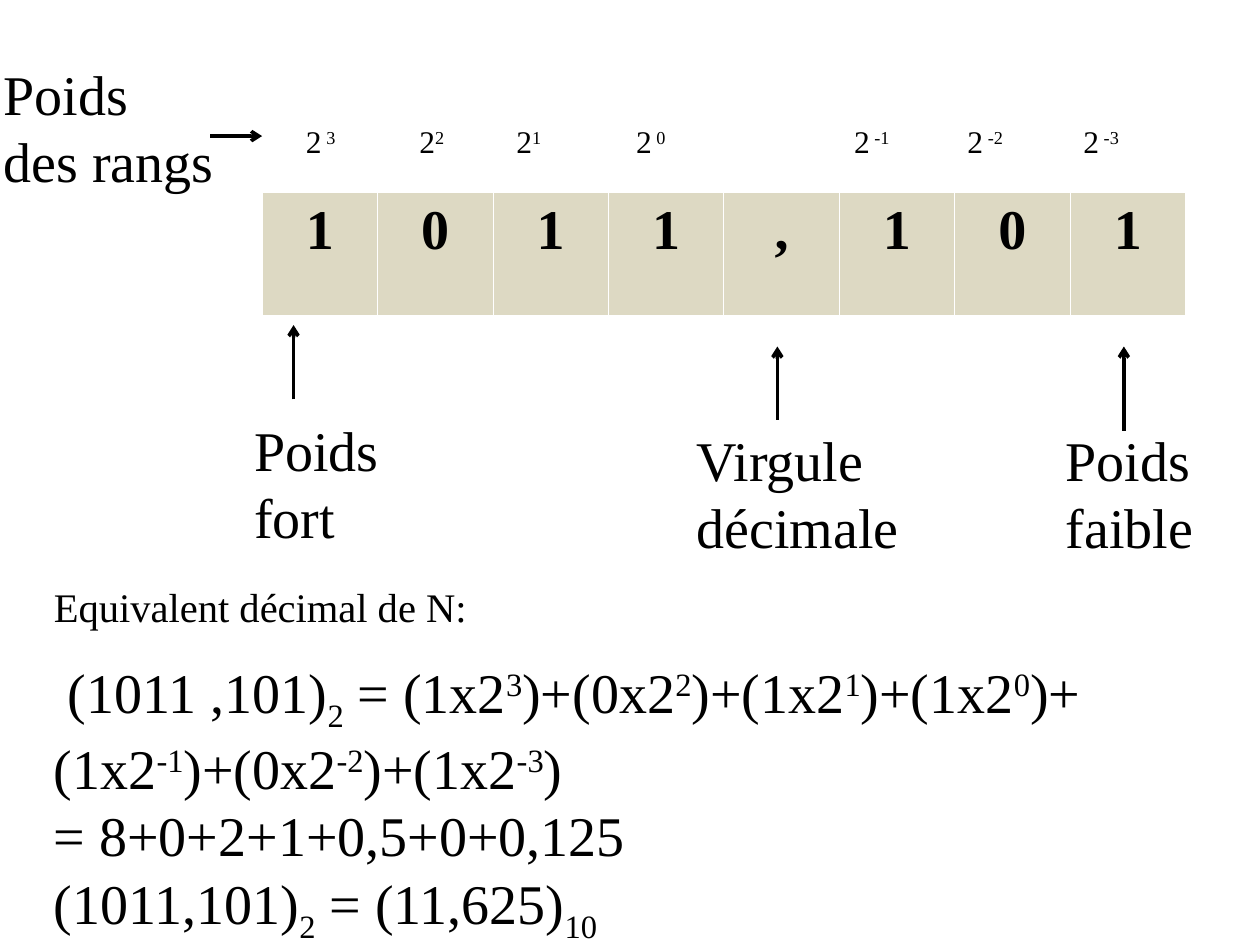
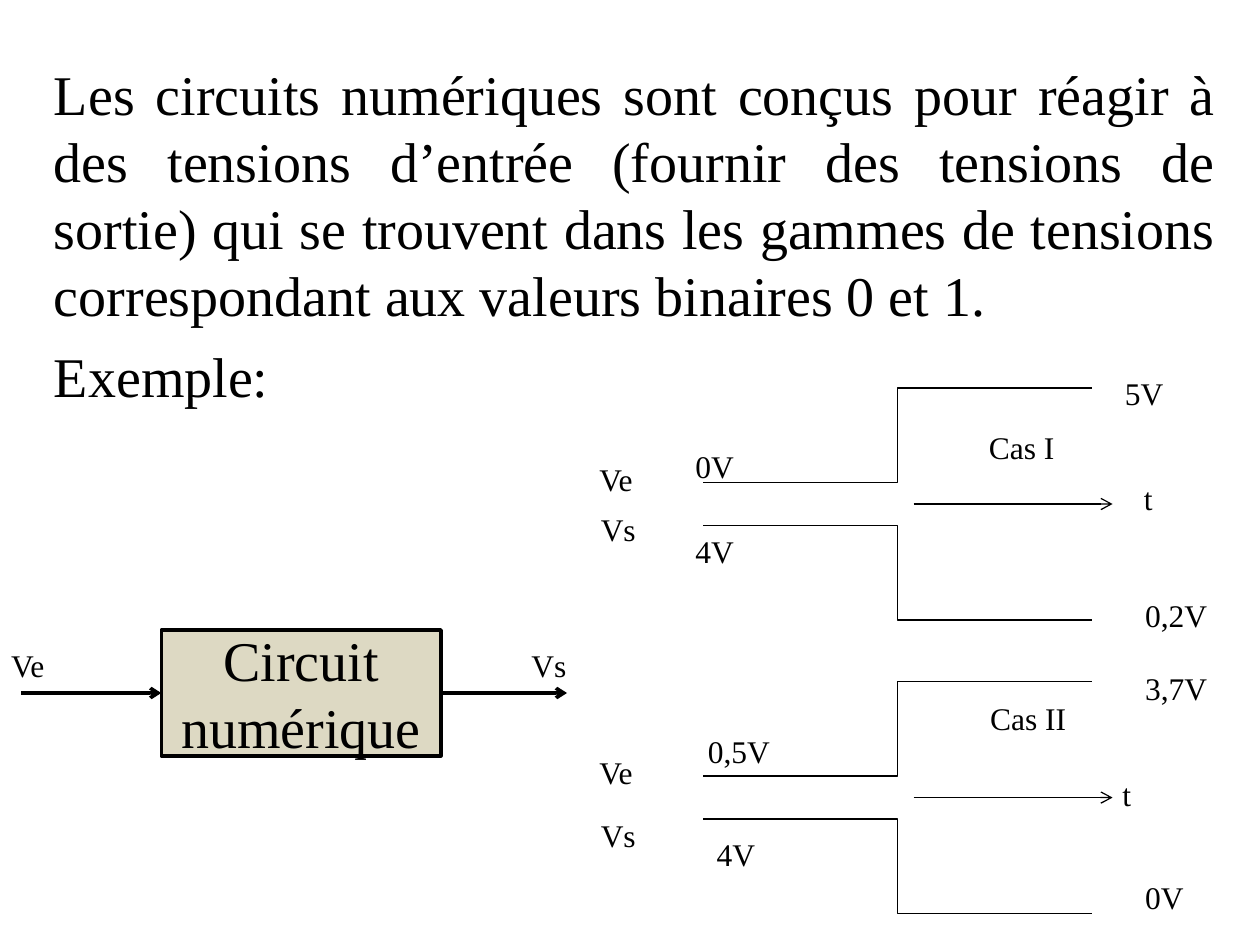
import pptx
import pptx.dml.color
import pptx.enum.shapes
import pptx.enum.text
import pptx.oxml
import pptx.oxml.ns
import pptx.util
from lxml import etree

FONT = "Times New Roman"
INK, SAND, WHITE = "000000", "DDD9C3", "FFFFFF"
LARGE, SMALL = 32, 18
THIN, THICK = 0.75, 2
LEFT_MARGIN = 0.33
BASELINES = {"^": 30000, "_": -25000}  # ^...^ is raised, _..._ is lowered

# Slide 1: binary number and the weight of each rank
DIGITS = ["1", "0", "1", "1", ",", "1", "0", "1"]
TABLE_LEFT, TABLE_TOP, TABLE_WIDTH, TABLE_HEIGHT = 2.08, 1.53, 7.33, 0.97
WEIGHTS = ["2^ 3^", "2^2^", "2^1^", "2^ 0^", "2^ -1^", "2^ -2^", "2^ -3^"]
WEIGHT_STOPS = [0.9, 1.67, 2.62, 4.35, 5.25, 6.17]
RANK_NOTES = [  # lines, left, top, width
    (["Poids", "des rangs"], -0.07, 0.42, 1.95),
    (["Poids", "fort"], 1.92, 3.25, 1.4),
    (["Poids", "faible"], 8.36, 3.33, 1.4),
    (["Virgule", "décimale"], 5.43, 3.33, 1.9),
]
RANK_ARROWS = [  # start, end
    ((2.33, 3.17), (2.33, 2.58)),
    ((6.17, 3.33), (6.17, 2.75)),
    ((8.92, 3.42), (8.92, 2.75)),
    ((1.67, 1.08), (2.08, 1.08)),
]
EQUIVALENT_HEADING = "^Equivalent décimal de N:^"
EQUIVALENT = [
    " (1011 ,101)_2_ = (1x2^3^)+(0x2^2^)+(1x2^1^)+(1x2^0^)+",
    "(1x2^-1^)+(0x2^-2^)+(1x2^-3^)",
    "= 8+0+2+1+0,5+0+0,125",
    "(1011,101)_2_ = (11,625)_10_",
]

# Slide 2: digital circuit and its input and output levels
INTRODUCTION = [
    "Les circuits numériques sont conçus pour réagir à des tensions d’entrée "
    "(fournir des tensions de sortie) qui se trouvent dans les gammes de tensions "
    "correspondant aux valeurs binaires 0 et 1.",
    "Exemple:",
]
CIRCUIT_NAME = "Circuit numérique"
CIRCUIT_BOX = (1.28, 5, 2.22, 1)
CIRCUIT_ENDS = (0.17, 4.5)
LABELS = [  # text, left, top
    ("Ve", -0.01, 5.08), ("Vs", 4.12, 5.08),
    ("Ve", 4.66, 3.6), ("Vs", 4.67, 4), ("t", 8.98, 3.75),
    ("0V", 5.42, 3.5), ("4V", 5.42, 4.17), ("Cas I", 7.75, 3.35),
    ("5V", 8.83, 2.92), ("0,2V", 8.99, 4.68),
    ("Ve", 4.66, 5.93), ("Vs", 4.67, 6.43), ("t", 8.81, 6.1),
    ("0,5V", 5.52, 5.76), ("4V", 5.59, 6.58), ("Cas II", 7.76, 5.5),
    ("3,7V", 8.99, 5.26), ("0V", 8.99, 6.92),
]
LABEL_WIDTHS = {1: 0.3, 2: 0.56, 4: 0.76, 5: 0.8, 6: 0.9}  # by letter count
TIME_AXES = [4, 6.33]
AXIS_SPAN, SIGNAL_SPAN = (7.25, 8.83), (5.58, 8.67)
SIGNAL_GAP, SIGNAL_STEP = 0.17, 0.75


def inches(*lengths):
    return [pptx.util.Inches(length) for length in lengths]


def color(value):
    return pptx.dml.color.RGBColor.from_string(value)


def fill(target, value):
    target.fill.solid()
    target.fill.fore_color.rgb = color(value)


def write_runs(paragraph, marked_text):
    """Split the text at its markers and set the baseline of each run."""
    baseline, piece = None, ""
    for letter in marked_text + "\n":
        if letter not in BASELINES and letter != "\n":
            piece += letter
            continue
        if piece:
            run = paragraph.add_run()
            run.text = piece
            if baseline:
                run.font._element.set("baseline", str(BASELINES[baseline]))
        baseline, piece = (None if baseline else letter), ""


def write(text_frame, lines, size, align=None, space_before=0):
    for index, line in enumerate(lines):
        paragraph = text_frame.add_paragraph() if index else text_frame.paragraphs[0]
        write_runs(paragraph, line)
        paragraph.alignment = align
        paragraph.space_before = pptx.util.Pt(space_before)
        paragraph.font.name = FONT
        paragraph.font.size = pptx.util.Pt(size)
        paragraph.font.color.rgb = color(INK)


def add_text(slide, box, lines, size, **style):
    text_frame = slide.shapes.add_textbox(*inches(*box)).text_frame
    text_frame.word_wrap = True
    write(text_frame, lines, size, **style)
    return text_frame


def add_line(slide, start, end, width, arrow=False, bent=False):
    kinds = pptx.enum.shapes.MSO_CONNECTOR
    connector = slide.shapes.add_connector(
        kinds.ELBOW if bent else kinds.STRAIGHT, *inches(*start, *end))
    connector.line.color.rgb = color(INK)
    connector.line.width = pptx.util.Pt(width)
    if arrow:
        tail = etree.SubElement(connector.line._get_or_add_ln(),
                                pptx.oxml.ns.qn("a:tailEnd"))
        tail.set("type", "arrow")
    etree.SubElement(connector._element.spPr, pptx.oxml.ns.qn("a:effectLst"))
    return connector


def add_cell_borders(cell, value, width):
    properties = cell._tc.get_or_add_tcPr()
    for side in "LRTB":
        properties.append(pptx.oxml.parse_xml(
            f'<a:ln{side} {pptx.oxml.ns.nsdecls("a")} w="{pptx.util.Pt(width)}">'
            f'<a:solidFill><a:srgbClr val="{value}"/></a:solidFill></a:ln{side}>'))


def build_number_slide(slide):
    centre = pptx.enum.text.PP_ALIGN.CENTER

    # Digits
    table = slide.shapes.add_table(1, len(DIGITS), *inches(
        TABLE_LEFT, TABLE_TOP, TABLE_WIDTH, TABLE_HEIGHT)).table
    for column, digit in enumerate(DIGITS):
        cell = table.cell(0, column)
        add_cell_borders(cell, WHITE, 0.45)
        fill(cell, SAND)
        write(cell.text_frame, [digit], LARGE, align=centre)
        cell.text_frame.paragraphs[0].font.bold = True

    # Weights above the digits, one tab stop each
    weights = add_text(slide, (2.33, 0.92, 6.89, 0.7), ["\t".join(WEIGHTS)], SMALL)
    properties = weights.paragraphs[0]._p.get_or_add_pPr()
    stops = etree.Element(pptx.oxml.ns.qn("a:tabLst"))
    for position in WEIGHT_STOPS:
        etree.SubElement(stops, pptx.oxml.ns.qn("a:tab"),
                         pos=str(pptx.util.Inches(position)), algn="l")
    properties.find(pptx.oxml.ns.qn("a:defRPr")).addprevious(stops)

    # Notes and their arrows
    for lines, left, top, width in RANK_NOTES:
        add_text(slide, (left, top, width, 1.17), lines, LARGE)
    for start, end in RANK_ARROWS:
        add_line(slide, start, end, THICK, arrow=True)

    # Decimal value
    equivalent = add_text(slide, (LEFT_MARGIN, 4.5, 9.33, 3),
                          [EQUIVALENT_HEADING] + EQUIVALENT, LARGE)
    equivalent.paragraphs[0].font.size = pptx.util.Pt(40)


def build_circuit_slide(slide):
    alignments = pptx.enum.text.PP_ALIGN
    add_text(slide, (LEFT_MARGIN, 0.42, 9.42, 2.9), INTRODUCTION, LARGE,
             align=alignments.JUSTIFY, space_before=8)

    # Circuit with its input and output
    circuit = slide.shapes.add_shape(
        pptx.enum.shapes.MSO_SHAPE.RECTANGLE, *inches(*CIRCUIT_BOX))
    circuit.shadow.inherit = False
    fill(circuit, SAND)
    circuit.line.color.rgb = color(INK)
    circuit.line.width = pptx.util.Pt(THICK)
    write(circuit.text_frame, [CIRCUIT_NAME], LARGE, align=alignments.CENTER)
    left, top, width, height = CIRCUIT_BOX
    middle = top + height / 2
    input_start, output_end = CIRCUIT_ENDS
    add_line(slide, (input_start, middle), (left, middle), THICK,
             arrow=True).end_connect(circuit, 1)
    add_line(slide, (left + width, middle), (output_end, middle), THICK,
             arrow=True).begin_connect(circuit, 3)

    # Each case: time axis, input rising above it, output falling below it
    for axis in TIME_AXES:
        add_line(slide, (AXIS_SPAN[0], axis), (AXIS_SPAN[1], axis), THIN, arrow=True)
        for direction in (-1, 1):
            near = axis + direction * SIGNAL_GAP
            far = near + direction * SIGNAL_STEP
            add_line(slide, (SIGNAL_SPAN[0], near), (SIGNAL_SPAN[1], far),
                     THIN, bent=True)

    for text, label_left, label_top in LABELS:
        add_text(slide, (label_left, label_top, LABEL_WIDTHS[len(text)], 0.4),
                 [text], SMALL)


def main():
    presentation = pptx.Presentation()
    presentation.slide_width, presentation.slide_height = inches(10, 7.5)
    blank = presentation.slide_layouts[6]
    for build in (build_number_slide, build_circuit_slide):
        build(presentation.slides.add_slide(blank))
    presentation.save("out.pptx")


if __name__ == "__main__":
    main()
